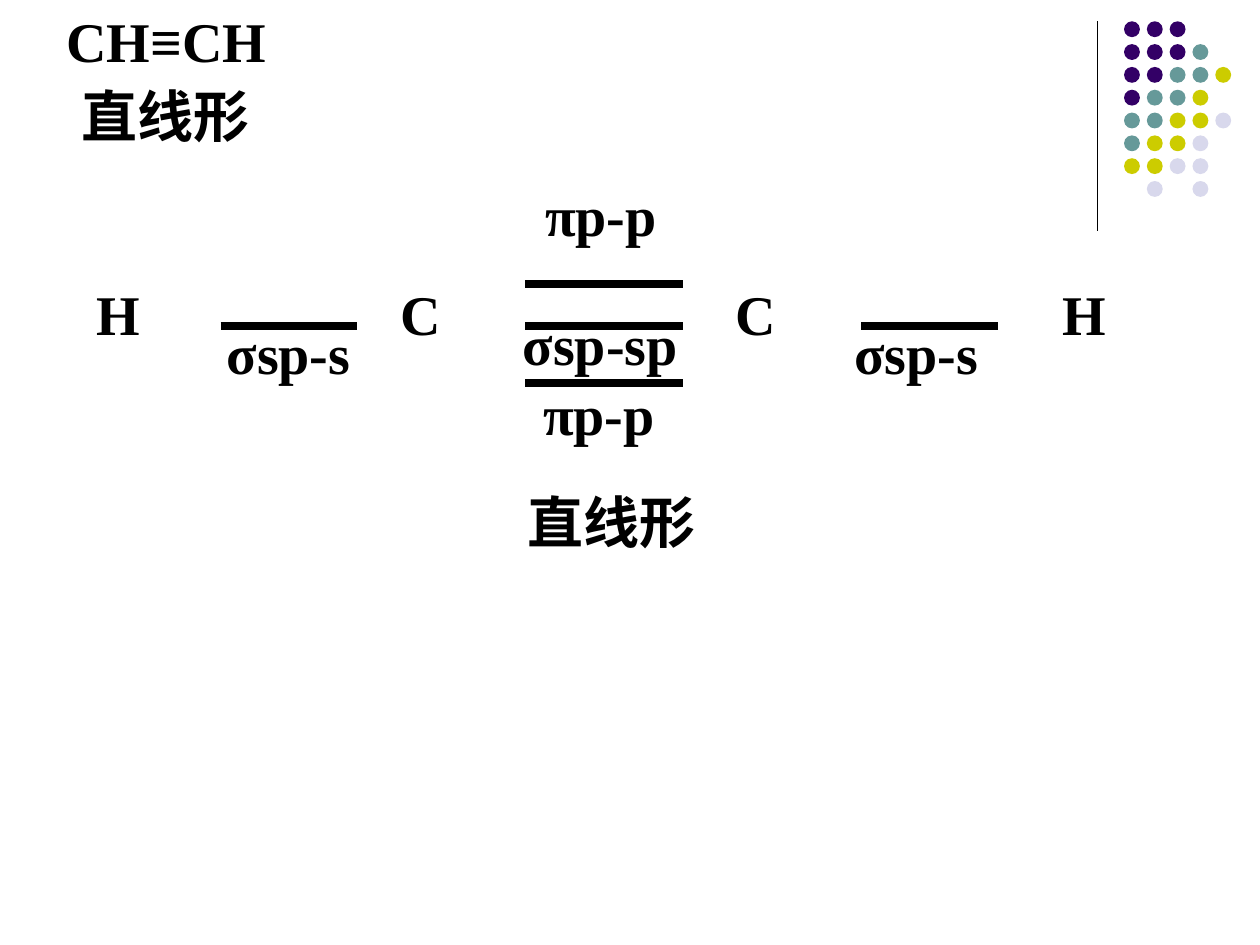
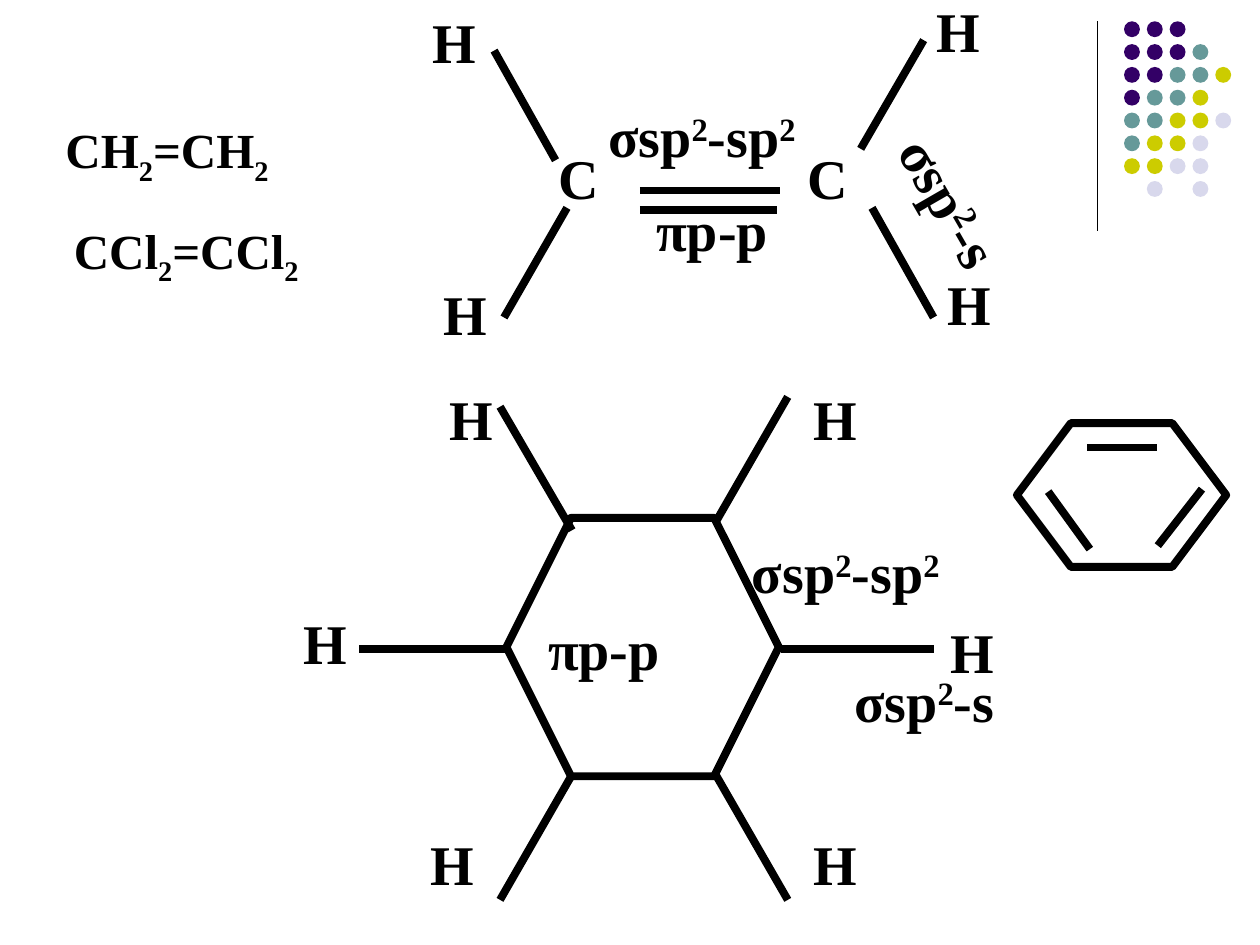
from itertools import groupby

from lxml import etree
from pptx import Presentation
from pptx.dml.color import RGBColor
from pptx.enum.shapes import MSO_CONNECTOR, MSO_SHAPE
from pptx.enum.text import MSO_AUTO_SIZE
from pptx.oxml.ns import qn
from pptx.util import Cm, Pt

STRAIGHT = MSO_CONNECTOR.STRAIGHT
OVAL = MSO_SHAPE.OVAL
HEXAGON = MSO_SHAPE.HEXAGON
FIT_SHAPE = MSO_AUTO_SIZE.SHAPE_TO_FIT_TEXT

COLORS = {
    "ink": "000000",
    "paper": "FFFFFF",
    "purple": "330066",
    "teal": "669999",
    "olive": "CCCC00",
    "lilac": "D8D8EC",
}
DOT_COLORS = {"P": "purple", "T": "teal", "O": "olive", "L": "lilac"}
DOT_ROWS = ["PPP", "PPPT", "PPTTO", "PTTO", "TTOOL", "TOOL", "OOLL", "-L-L"]
DOT_LEFT, DOT_TOP, DOT_PITCH, DOT_SIZE = 22.66, 0.43, 0.46, 0.32

FORMULA_SIZE = 28
LABEL_SIZE = 32
ATOM_WIDTH = 2
LABEL_WIDTH = 5.3
BOND_WEIGHT = 4.5
SCRIPTS = {"₂": ("2", "-25000"), "²": ("2", "30000")}


def color(name):
    return RGBColor.from_string(COLORS[name])


def apply_format(target, values):
    for name, value in values.items():
        setattr(target, name, value)


def add_label(slide, text, left, top, width=LABEL_WIDTH, size=LABEL_SIZE, rotation=0):
    height = size * 0.05
    shape = slide.shapes.add_textbox(Cm(left), Cm(top), Cm(width), Cm(height))
    shape.rotation = rotation
    apply_format(shape.text_frame, {"word_wrap": True, "auto_size": FIT_SHAPE})
    paragraph = shape.text_frame.paragraphs[0]
    for script, characters in groupby(text, SCRIPTS.get):
        run = paragraph.add_run()
        run.text = script[0] if script else "".join(characters)
        apply_format(run.font, {"name": "Times New Roman", "size": Pt(size), "bold": True})
        run.font.color.rgb = color("ink")
        if script:
            run._r.get_or_add_rPr().set("baseline", script[1])


def add_atoms(slide, symbol, places):
    for left, top in places:
        add_label(slide, symbol, left, top, ATOM_WIDTH)


def add_line(slide, ends, weight=BOND_WEIGHT):
    connector = slide.shapes.add_connector(STRAIGHT, *map(Cm, ends))
    connector.line.color.rgb = color("ink")
    connector.line.width = Pt(weight)
    etree.SubElement(connector._element.spPr, qn("a:effectLst"))


def add_bonds(slide, bonds):
    for ends in bonds:
        add_line(slide, ends)


def add_ring(slide, left, top, width, height, slant):
    ring = slide.shapes.add_shape(HEXAGON, Cm(left), Cm(top), Cm(width), Cm(height))
    ring.shadow.inherit = False
    ring.adjustments[0] = slant
    ring.fill.background()
    ring.line.color.rgb = color("ink")
    ring.line.width = Pt(BOND_WEIGHT)


def add_dot(slide, row, column, color_name):
    left = DOT_LEFT + column * DOT_PITCH
    top = DOT_TOP + row * DOT_PITCH
    dot = slide.shapes.add_shape(OVAL, Cm(left), Cm(top), Cm(DOT_SIZE), Cm(DOT_SIZE))
    dot.shadow.inherit = False
    dot.fill.solid()
    dot.fill.fore_color.rgb = color(color_name)
    dot.line.fill.background()


def add_base_slide(presentation):
    slide = presentation.slides.add_slide(presentation.slide_layouts[6])
    slide.background.fill.solid()
    slide.background.fill.fore_color.rgb = color("paper")
    add_line(slide, (22.12, 0.43, 22.12, 4.65), 0.75)
    for row, letters in enumerate(DOT_ROWS):
        for column, letter in enumerate(letters):
            if letter in DOT_COLORS:
                add_dot(slide, row, column, DOT_COLORS[letter])
    return slide


def build_acetylene(presentation):
    slide = add_base_slide(presentation)
    atom_top, bond_top = 5.51, 6.58
    add_atoms(slide, "C", [(7.82, atom_top), (14.58, atom_top)])
    add_atoms(slide, "H", [(1.7, atom_top), (21.16, atom_top)])
    add_bonds(slide, [(10.59, y, 13.77, y) for y in (5.72, bond_top, 7.72)])
    add_bonds(slide, [(x, bond_top, x + 2.75, bond_top) for x in (4.45, 17.36)])
    for text, left, top in [
        ("σsp-sp", 10.29, 6.12),
        ("σsp-s", 4.32, 6.3),
        ("σsp-s", 16.97, 6.3),
        ("πp-p", 10.74, 3.51),
        ("πp-p", 10.7, 7.52),
        ("直线形", 10.39, 9.7),
        ("CH≡CH", 1.09, 0),
        ("直线形", 1.4, 1.52),
    ]:
        add_label(slide, text, left, top)


def add_ethylene(slide):
    add_bonds(slide, [
        (12.9, 3.84, 15.72, 3.84),
        (12.9, 4.24, 15.67, 4.24),
        (17.58, 4.19, 18.82, 6.4),
        (10.16, 6.4, 11.43, 4.19),
        (17.35, 3, 18.62, 0.81),
        (9.96, 1.02, 11.2, 3.23),
    ])
    add_atoms(slide, "H", [(8.46, 0.03), (18.62, -0.2), (18.85, 5.31), (8.69, 5.51)])
    add_atoms(slide, "C", [(11, 2.77), (16.03, 2.77)])
    add_label(slide, "σsp²-sp²", 12.01, 1.93)
    add_label(slide, "σsp²-s", 17.17, 3.84, 4.65, rotation=60)
    add_label(slide, "πp-p", 12.98, 3.81)


def add_kekule_ring(slide):
    add_ring(slide, 20.5, 8.53, 4.22, 2.9, 0.375)
    add_bonds(slide, [
        (21.92, 9.02, 23.32, 9.02),
        (23.34, 11, 24.23, 9.86),
        (21.13, 9.91, 21.97, 11.07),
    ])


def add_benzene(slide):
    add_ring(slide, 10.21, 10.44, 5.49, 5.21, 0.25)
    add_bonds(slide, [
        (14.43, 10.52, 15.88, 8),
        (15.75, 13.08, 18.82, 13.08),
        (7.24, 13.08, 10.29, 13.08),
        (14.43, 15.62, 15.88, 18.14),
        (10.08, 8.2, 11.53, 10.69),
        (10.08, 18.14, 11.53, 15.62),
    ])
    add_atoms(slide, "H", [
        (5.87, 12.14), (18.92, 12.32), (8.81, 7.62),
        (16.15, 16.59), (8.43, 16.59), (16.15, 7.62),
    ])
    add_label(slide, "σsp²-sp²", 14.91, 10.72)
    add_label(slide, "σsp²-s", 16.97, 13.31)
    add_label(slide, "πp-p", 10.8, 12.27)


def build_double_bonds(presentation):
    slide = add_base_slide(presentation)
    add_label(slide, "CH₂=CH₂", 1.07, 2.29, 6.05, FORMULA_SIZE)
    add_label(slide, "CCl₂=CCl₂", 1.24, 4.32, 6.65, FORMULA_SIZE)
    add_ethylene(slide)
    add_kekule_ring(slide)
    add_benzene(slide)


def main():
    presentation = Presentation()
    presentation.slide_width = Cm(25.4)
    presentation.slide_height = Cm(19.05)
    build_acetylene(presentation)
    build_double_bonds(presentation)
    presentation.save("out.pptx")


if __name__ == "__main__":
    main()
